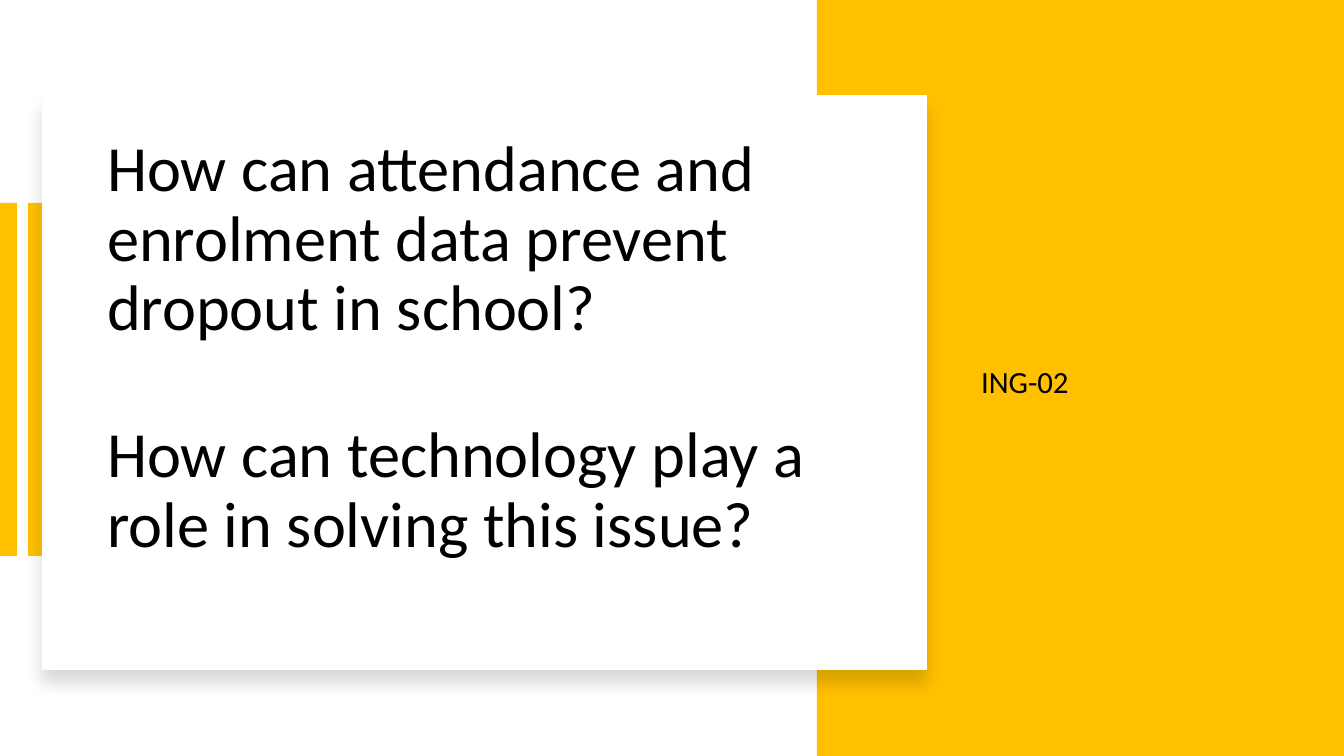
from lxml import etree
from pptx import Presentation
from pptx.dml.color import RGBColor
from pptx.enum.shapes import MSO_SHAPE
from pptx.enum.text import MSO_ANCHOR, MSO_AUTO_SIZE, PP_ALIGN
from pptx.oxml.ns import qn
from pptx.util import Pt

RECTANGLE = MSO_SHAPE.RECTANGLE
MIDDLE = MSO_ANCHOR.MIDDLE
LEFT = PP_ALIGN.LEFT
NO_FIT = MSO_AUTO_SIZE.NONE

AMBER = RGBColor(0xFF, 0xC0, 0x00)
WHITE = RGBColor(0xFF, 0xFF, 0xFF)
BLACK = RGBColor(0x00, 0x00, 0x00)

QUESTIONS = [
    "How can attendance and enrolment data prevent dropout in school?",
    "How can technology play a role in solving this issue?",
]
GROUP = ["ING-02"]

SLIDE_W, SLIDE_H = 1344, 756
PANEL_X = 817
BAR_W, BAR_Y, BAR_H, BAR_STEP = 17, 203, 353, 28
CARD = (42, 95, 885, 575)
QUESTIONS_BOX = (97, 162, 783, 443)
GROUP_BOX = (971, 204, 331, 360)
QUESTIONS_BOTTOM = 75
EMU_PER_PX = 914400 / 100.8


def px(length):
    return round(length * EMU_PER_PX)


def add_block(slide, box, color):
    block = slide.shapes.add_shape(RECTANGLE, *map(px, box))
    block.shadow.inherit = False
    block.fill.solid()
    block.fill.fore_color.rgb = color
    block.line.fill.background()
    return block


def add_soft_shadow(block):
    effects = block._element.spPr.find(qn("a:effectLst"))
    shadow = etree.SubElement(
        effects, qn("a:outerShdw"), blurRad=str(Pt(11)), dist=str(Pt(10)),
        dir="5400000", algn="t", rotWithShape="0")
    color = etree.SubElement(shadow, qn("a:srgbClr"), val=str(BLACK))
    etree.SubElement(color, qn("a:alpha"), val="15000")


def fill_placeholder(holder, box, lines, size, gap=0):
    holder.left, holder.top, holder.width, holder.height = map(px, box)
    frame = holder.text_frame
    frame.text = "\n".join(lines)
    frame.word_wrap = True
    frame.auto_size = NO_FIT
    frame.vertical_anchor = MIDDLE
    for index, paragraph in enumerate(frame.paragraphs):
        paragraph.alignment = LEFT
        paragraph.line_spacing = 0.9
        paragraph.space_before = Pt(gap if index else 0)
        paragraph.font.name = "Calibri"
        paragraph.font.size = Pt(size)
        paragraph.font.color.rgb = BLACK
    holder._element.getparent().append(holder._element)


def main():
    deck = Presentation()
    deck.slide_width, deck.slide_height = px(SLIDE_W), px(SLIDE_H)
    slide = deck.slides.add_slide(deck.slide_layouts[0])
    title, subtitle = slide.placeholders

    for column in range(2):
        add_block(slide, (column * BAR_STEP, BAR_Y, BAR_W, BAR_H), AMBER)
    add_block(slide, (PANEL_X, 0, SLIDE_W - PANEL_X, SLIDE_H), AMBER)
    add_soft_shadow(add_block(slide, CARD, WHITE))

    fill_placeholder(title, QUESTIONS_BOX, QUESTIONS, 46, gap=55)
    title.text_frame.margin_bottom = px(QUESTIONS_BOTTOM)
    fill_placeholder(subtitle, GROUP_BOX, GROUP, 22)

    deck.save("out.pptx")


if __name__ == "__main__":
    main()
